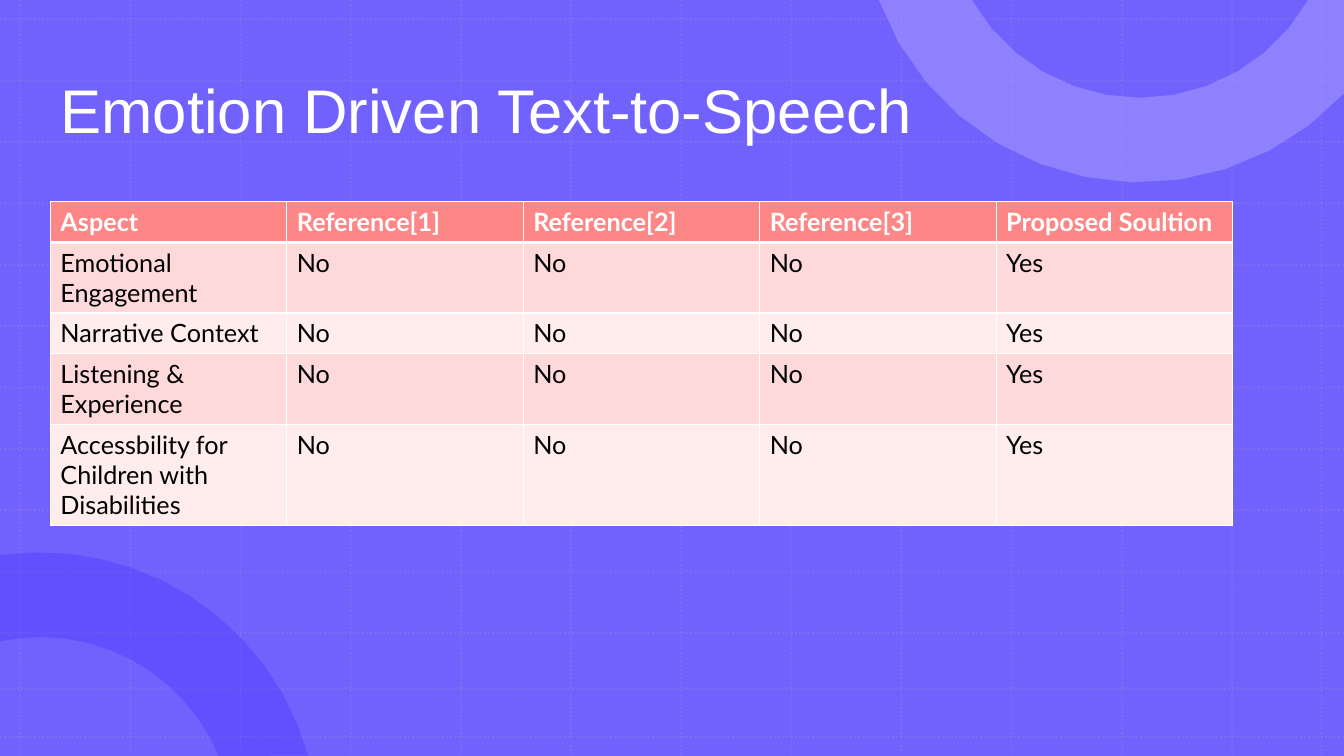
import math

import lxml.etree
import pptx
import pptx.dml.color
import pptx.enum.dml
import pptx.enum.shapes
import pptx.enum.text
import pptx.oxml
import pptx.oxml.ns
import pptx.util

RGBColor = pptx.dml.color.RGBColor
VIOLET = RGBColor(0x71, 0x62, 0xFE)
INDIGO = RGBColor(0x22, 0x0B, 0xFD)
LAVENDER = RGBColor(0xAA, 0xA1, 0xFE)
MAUVE = RGBColor(0xB4, 0x95, 0xC2)
CORAL = RGBColor(0xFD, 0x86, 0x86)
ROSE = RGBColor(0xFE, 0xD9, 0xD9)
BLUSH = RGBColor(0xFF, 0xED, 0xED)
WHITE = RGBColor(0xFF, 0xFF, 0xFF)
BLACK = RGBColor(0, 0, 0)

COLUMNS, ROWS = 133.33, 75
RING_OUTER, RING_INNER = 27.6, 19.2

ASPECTS = [
    "Emotional Engagement",
    "Narrative Context",
    "Listening & Experience",
    "Accessbility for Children with Disabilities",
]
HEADER = ["Aspect", "Reference[1]", "Reference[2]", "Reference[3]", "Proposed Soultion"]
COMPARISON = [HEADER] + [[aspect, "No", "No", "No", "Yes"] for aspect in ASPECTS]


def write_text(frame, text, font, size, color, bold=False, spacing=None):
    """Put one formatted paragraph into a text frame."""
    para = frame.paragraphs[0]
    para.alignment = pptx.enum.text.PP_ALIGN.LEFT
    para.line_spacing = spacing
    span = para.add_run()
    span.text = text
    span.font.name = font
    span.font.size = pptx.util.Pt(size)
    span.font.bold = bold
    span.font.color.rgb = color


def set_opacity(fill_parent, percent):
    """Make the solid colour inside an element partly transparent."""
    color = fill_parent.find(".//" + pptx.oxml.ns.qn("a:srgbClr"))
    alpha = lxml.etree.SubElement(color, pptx.oxml.ns.qn("a:alpha"))
    alpha.set("val", str(percent * 1000))


def arc(center, radius, start, end, steps=12):
    """Return evenly spaced points on an arc, with angles in degrees."""
    angles = [math.radians(start + (end - start) * step / steps) for step in range(steps + 1)]
    return [(center[0] + radius * math.cos(a), center[1] + radius * math.sin(a)) for a in angles]


class SlideBuilder:
    """Draws on one page, with lengths in grid cells of a tenth of an inch."""

    def __init__(self, deck):
        self.cell = deck.slide_height / ROWS
        self.page = deck.slides.add_slide(deck.slide_layouts[5])
        self.shapes = self.page.shapes

    def units(self, *lengths):
        """Turn grid lengths into slide units."""
        return [pptx.util.Emu(round(length * self.cell)) for length in lengths]

    def paint(self, shape, color):
        """Give a shape a plain fill without line or shadow."""
        shape.shadow.inherit = False
        shape.fill.solid()
        shape.fill.fore_color.rgb = color
        shape.line.fill.background()

    def panel(self, color, *place):
        """Draw a plain rectangle."""
        rectangle = pptx.enum.shapes.MSO_SHAPE.RECTANGLE
        self.paint(self.shapes.add_shape(rectangle, *self.units(*place)), color)

    def grid_line(self, *ends):
        """Draw one faint dotted line."""
        straight = pptx.enum.shapes.MSO_CONNECTOR.STRAIGHT
        connector = self.shapes.add_connector(straight, *self.units(*ends))
        connector.line.color.rgb = MAUVE
        connector.line.width = pptx.util.Pt(1.5)
        connector.line.dash_style = pptx.enum.dml.MSO_LINE.ROUND_DOT
        properties = connector._element.spPr
        set_opacity(properties, 20)
        lxml.etree.SubElement(properties, pptx.oxml.ns.qn("a:effectLst"))

    def ring(self, center, outer_span, inner_span, color, opacity, corner=()):
        """Draw the visible part of a ring cut by the slide edges."""
        points = arc(center, RING_INNER, *inner_span) + list(corner)
        points += arc(center, RING_OUTER, *outer_span)
        points = [self.units(*point) for point in points]
        builder = self.shapes.build_freeform(*points[0])
        builder.add_line_segments(points[1:], close=True)
        shape = builder.convert_to_shape()
        self.paint(shape, color)
        set_opacity(shape._element.spPr, opacity)

    def title(self, text, *place):
        """Place the title above the decoration."""
        box = self.shapes.title
        box.left, box.top, box.width, box.height = self.units(*place)
        frame = box.text_frame
        frame.word_wrap = True
        frame.auto_size = pptx.enum.text.MSO_AUTO_SIZE.NONE
        frame.vertical_anchor = pptx.enum.text.MSO_ANCHOR.MIDDLE
        write_text(frame, text, "Arial", 44, WHITE, spacing=0.9)
        self.shapes._spTree.append(box._element)

    def borders(self, cell, **widths):
        """Give a table cell white borders, in points per side."""
        properties = cell._tc.get_or_add_tcPr()
        for index, side in enumerate("LRTB"):
            width = pptx.util.Pt(widths.get(side, 1))
            line = pptx.oxml.parse_xml(
                f'<a:ln{side} {pptx.oxml.ns.nsdecls("a")} w="{width}">'
                f'<a:solidFill><a:srgbClr val="{WHITE}"/></a:solidFill></a:ln{side}>'
            )
            properties.insert(index, line)

    def table(self, content, left, top, width, row_height):
        """Draw a table with a header row and banded body rows."""
        place = self.units(left, top, width, row_height * len(content))
        table = self.shapes.add_table(len(content), len(content[0]), *place).table
        table.horz_banding = False
        for number, values in enumerate(content):
            header = number == 0
            fill = CORAL if header else (ROSE if number % 2 else BLUSH)
            for cell, text in zip(table.rows[number].cells, values):
                cell.fill.solid()
                cell.fill.fore_color.rgb = fill
                color = WHITE if header else BLACK
                write_text(cell.text_frame, text, "Lato", 18, color, bold=header)
                self.borders(cell, T=3 if number == 1 else 1, B=3 if header else 1)


def main():
    """Build the comparison slide."""
    deck = pptx.Presentation()
    deck.slide_width = pptx.util.Emu(12192000)
    deck.slide_height = pptx.util.Inches(7.5)
    slide = SlideBuilder(deck)
    slide.panel(VIOLET, 0, 0, COLUMNS, ROWS)
    for x in [2 + 10.93 * step for step in range(12)] + [131.1]:
        slide.grid_line(x, 0, x, ROWS)
    for y in [1.9 + 6.09 * step for step in range(11)] + [68.3, 73.1]:
        slide.grid_line(0, y, COLUMNS, y)
    slide.ring((4, 82.4), (344.4, 261.67), (257.98, 337.3), INDIGO, 20)
    slide.ring((113.1, -9.5), (42.9, 159.87), (150.34, 29.66), LAVENDER, 50, [(COLUMNS, 0)])
    slide.title("Emotion Driven Text-to-Speech", 5, 4, 117.3, 14.5)
    slide.table(COMPARISON, 5, 20, 117.3, 4.05)
    deck.save("out.pptx")


if __name__ == "__main__":
    main()
